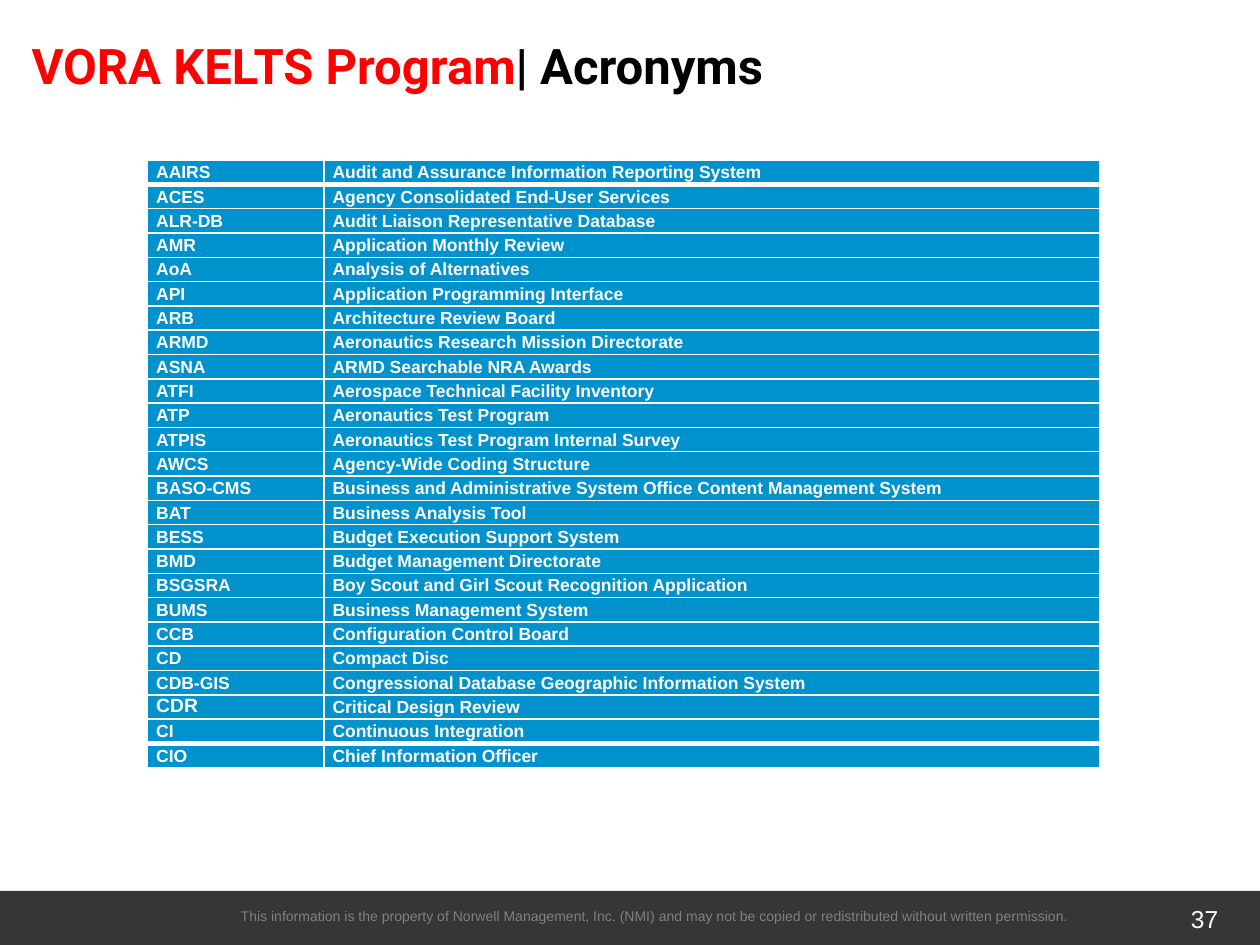
"""Build the acronym table slide."""
from dataclasses import dataclass

from lxml.etree import SubElement
from pptx import Presentation
from pptx.dml.color import RGBColor
from pptx.enum.shapes import MSO_SHAPE
from pptx.enum.text import MSO_ANCHOR, PP_ALIGN
from pptx.oxml.ns import qn
from pptx.util import Inches, Pt

COLORS = {
    "white": "FFFFFF",
    "black": "000000",
    "red": "FF0000",
    "blue": "0092CC",
    "bar": "363636",
    "gray": "808080",
}
ACRONYMS = [
    ("AAIRS", "Audit and Assurance Information Reporting System"),
    ("ACES", "Agency Consolidated End-User Services"),
    ("ALR-DB", "Audit Liaison Representative Database"),
    ("AMR", "Application Monthly Review"),
    ("AoA", "Analysis of Alternatives"),
    ("API", "Application Programming Interface"),
    ("ARB", "Architecture Review Board"),
    ("ARMD", "Aeronautics Research Mission Directorate"),
    ("ASNA", "ARMD Searchable NRA Awards"),
    ("ATFI", "Aerospace Technical Facility Inventory"),
    ("ATP", "Aeronautics Test Program"),
    ("ATPIS", "Aeronautics Test Program Internal Survey"),
    ("AWCS", "Agency-Wide Coding Structure"),
    ("BASO-CMS", "Business and Administrative System Office Content Management System"),
    ("BAT", "Business Analysis Tool"),
    ("BESS", "Budget Execution Support System"),
    ("BMD", "Budget Management Directorate"),
    ("BSGSRA", "Boy Scout and Girl Scout Recognition Application"),
    ("BUMS", "Business Management System"),
    ("CCB", "Configuration Control Board"),
    ("CD", "Compact Disc"),
    ("CDB-GIS", "Congressional Database Geographic Information System"),
    ("CDR", "Critical Design Review"),
    ("CI", "Continuous Integration"),
    ("CIO", "Chief Information Officer"),
]


def rgb(name):
    return RGBColor.from_string(COLORS[name])


def apply(target, values):
    for name, value in values.items():
        setattr(target, name, value)


@dataclass
class SlideBuilder:
    slide: object
    font: str = "Arial"

    def place(self, shape, box):
        apply(shape, dict(zip(("left", "top", "width", "height"), map(Inches, box))))

    def run(self, paragraph, text, size, color, **values):
        run = paragraph.add_run()
        run.text = text
        apply(run.font, {"name": self.font, "size": Pt(size), **values})
        run.font.color.rgb = rgb(color)

    def title(self, box, parts):
        shape = self.slide.shapes.title
        self.place(shape, box)
        apply(shape.text_frame, {"vertical_anchor": MSO_ANCHOR.TOP, "word_wrap": True})
        paragraph = shape.text_frame.paragraphs[0]
        paragraph.alignment = PP_ALIGN.LEFT
        for text, color in parts:
            self.run(paragraph, text, 28, color, name="Roboto", bold=True)

    def bar(self, box, color):
        shape = self.slide.shapes.add_shape(MSO_SHAPE.RECTANGLE, *map(Inches, box))
        shape.shadow.inherit = False
        shape.fill.solid()
        shape.fill.fore_color.rgb = rgb(color)
        shape.line.fill.background()

    def text(self, box, text, size, color):
        frame = self.slide.shapes.add_textbox(*map(Inches, box)).text_frame
        apply(frame, {"word_wrap": True, "vertical_anchor": MSO_ANCHOR.MIDDLE})
        paragraph = frame.paragraphs[0]
        paragraph.alignment = PP_ALIGN.CENTER
        self.run(paragraph, text, size, color)

    def border(self, cell, side, width):
        properties = cell._tc.get_or_add_tcPr()
        line = SubElement(properties, qn(f"a:ln{side}"), w=str(Pt(width)))
        fill = SubElement(line, qn("a:solidFill"))
        SubElement(fill, qn("a:srgbClr"), val=COLORS["white"])

    def cell(self, cell, text, size, spacing, widths):
        for side, width in widths.items():
            self.border(cell, side, width)
        cell.fill.solid()
        cell.fill.fore_color.rgb = rgb("blue")
        apply(cell, {
            "margin_left": Inches(0.07), "margin_right": Inches(0.07),
            "margin_top": 0, "margin_bottom": 0,
        })
        paragraph = cell.text_frame.paragraphs[0]
        paragraph.line_spacing = spacing
        self.run(paragraph, text, size, "white", bold=True)

    def table(self, box, column_widths, rows):
        shape = self.slide.shapes.add_table(len(rows), len(column_widths), *map(Inches, box))
        table = shape.table
        apply(table, {"first_row": False, "horz_banding": False})
        for column, width in zip(table.columns, column_widths):
            column.width = Inches(width)
        last = len(rows) - 1
        for index, texts in enumerate(rows):
            table.rows[index].height = Inches(box[3] / len(rows))
            widths = {
                "L": 1, "R": 1,
                "T": 3 if index in (1, last) else 1,
                "B": 3 if index in (0, last - 1) else 1,
            }
            for cell, text in zip(table.rows[index].cells, texts):
                size, spacing = (11, 1.0) if text == "CDR" else (10, 1.15)
                self.cell(cell, text, size, spacing, widths)


presentation = Presentation()
apply(presentation, {"slide_width": Inches(10), "slide_height": Inches(7.5)})
builder = SlideBuilder(presentation.slides.add_slide(presentation.slide_layouts[5]))
builder.bar((0, 7.07, 10, 0.43), "bar")
builder.text(
    (1.47, 7.15, 7.46, 0.24),
    "This information is the property of Norwell Management, Inc. (NMI) and may not be "
    "copied or redistributed without written permission.",
    8, "gray",
)
builder.text((9.27, 7.08, 0.58, 0.42), "37", 14, "white")
builder.title((0.15, 0.23, 9.74, 0.9), [("VORA KELTS Program", "red"), ("| Acronyms", "black")])
builder.table((1.17, 1.27, 7.56, 4.83), (1.4, 6.16), ACRONYMS)
presentation.save("out.pptx")
